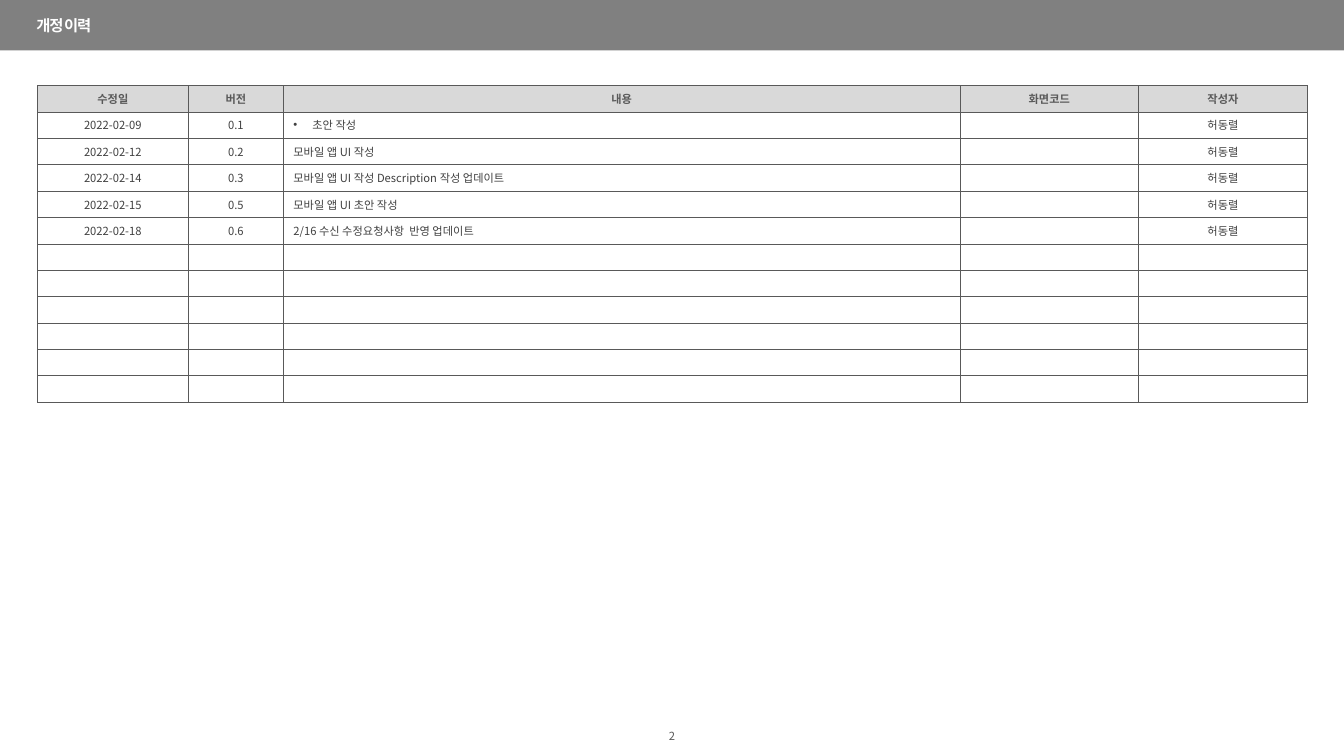
from lxml import etree
from pptx import Presentation
from pptx.dml.color import RGBColor
from pptx.enum.shapes import MSO_SHAPE
from pptx.enum.text import MSO_ANCHOR, PP_ALIGN
from pptx.oxml.ns import qn
from pptx.util import Cm, Pt

FONT = "Noto Sans CJK KR"
WHITE = RGBColor(0xFF, 0xFF, 0xFF)
BAR_GRAY = RGBColor(0x80, 0x80, 0x80)
HEADER_GRAY = RGBColor(0xD9, 0xD9, 0xD9)
LINE_GRAY = RGBColor(0x59, 0x59, 0x59)
BODY_GRAY = RGBColor(0x40, 0x40, 0x40)

SLIDE_WIDTH, SLIDE_HEIGHT = Cm(33.87), Cm(19.05)
COLUMN_WIDTHS = [Cm(3.81), Cm(2.39), Cm(17.06), Cm(4.49), Cm(4.26)]
CONTENT_COLUMN = 2
ROW_COUNT = 12
HEADERS = ["수정일", "버전", "내용", "화면코드", "작성자"]
AUTHOR = "허동렬"
REVISIONS = [
    ("2022-02-09", "0.1", "초안 작성", "", AUTHOR),
    ("2022-02-12", "0.2", "모바일 앱 UI 작성", "", AUTHOR),
    ("2022-02-14", "0.3", "모바일 앱 UI 작성 Description 작성 업데이트", "", AUTHOR),
    ("2022-02-15", "0.5", "모바일 앱 UI 초안 작성", "", AUTHOR),
    ("2022-02-18", "0.6", "2/16 수신 수정요청사항  반영 업데이트", "", AUTHOR),
]


def write_text(text_frame, text, size, color, bold=False, alignment=PP_ALIGN.LEFT):
    text_frame.text = text
    paragraph = text_frame.paragraphs[0]
    paragraph.alignment = alignment
    for run in paragraph.runs:
        run.font.size = size
        run.font.bold = bold
        run.font.name = FONT
        run.font.color.rgb = color
        east_asian = etree.SubElement(run.font._element, qn("a:ea"))
        east_asian.set("typeface", FONT)
    if not text:
        end_properties = etree.SubElement(paragraph._p, qn("a:endParaRPr"))
        end_properties.set("sz", str(size.centipoints))
    return paragraph


def add_label(slide, left, top, width, height):
    text_frame = slide.shapes.add_textbox(left, top, width, height).text_frame
    text_frame.word_wrap = True
    text_frame.vertical_anchor = MSO_ANCHOR.MIDDLE
    return text_frame


def add_title_bar(slide, left, top, width, height):
    bar = slide.shapes.add_shape(MSO_SHAPE.RECTANGLE, left, top, width, height)
    bar.shadow.inherit = False
    bar.fill.solid()
    bar.fill.fore_color.rgb = BAR_GRAY
    bar.line.fill.background()
    text_frame = add_label(slide, left + Cm(0.56), top + Cm(0.2), Cm(25.4), height - Cm(0.4))
    text_frame.margin_left, text_frame.margin_right = Cm(0.36), Cm(0.2)
    text_frame.margin_top = text_frame.margin_bottom = Cm(0.1)
    paragraph = write_text(text_frame, "개정 이력", Pt(11), WHITE, bold=True)
    paragraph.runs[0].font._element.set("spc", "-100")


def add_page_number(slide, left, top, width, height):
    text_frame = add_label(slide, left, top, width, height)
    write_text(text_frame, "2", Pt(8), LINE_GRAY, alignment=PP_ALIGN.CENTER)


def add_bullet(paragraph):
    properties = paragraph._p.get_or_add_pPr()
    properties.set("marL", str(Cm(0.48)))
    properties.set("indent", str(-Cm(0.48)))
    etree.SubElement(properties, qn("a:buFont")).set("typeface", "Arial")
    etree.SubElement(properties, qn("a:buChar")).set("char", "•")


def add_borders(cell):
    properties = cell._tc.get_or_add_tcPr()
    for index, side in enumerate(("lnL", "lnR", "lnT", "lnB")):
        line = etree.Element(qn(f"a:{side}"), w=str(Pt(0.25)))
        fill = etree.SubElement(line, qn("a:solidFill"))
        etree.SubElement(fill, qn("a:srgbClr")).set("val", str(LINE_GRAY))
        properties.insert(index, line)


def add_revision_table(slide, left, top, width, height):
    frame = slide.shapes.add_table(ROW_COUNT, len(HEADERS), left, top, width, height)
    table = frame.table
    for column, column_width in zip(table.columns, COLUMN_WIDTHS):
        column.width = column_width
    blank_rows = [[""] * len(HEADERS)] * (ROW_COUNT - 1 - len(REVISIONS))
    for row_index, values in enumerate([HEADERS, *REVISIONS, *blank_rows]):
        is_header = row_index == 0
        for column_index, value in enumerate(values):
            cell = table.cell(row_index, column_index)
            cell.fill.solid()
            cell.fill.fore_color.rgb = HEADER_GRAY if is_header else WHITE
            cell.vertical_anchor = MSO_ANCHOR.MIDDLE
            cell.margin_top = cell.margin_bottom = Cm(0.1)
            add_borders(cell)
            centered = is_header or column_index != CONTENT_COLUMN
            write_text(
                cell.text_frame, value, Pt(8),
                LINE_GRAY if is_header else BODY_GRAY, is_header,
                PP_ALIGN.CENTER if centered else PP_ALIGN.LEFT,
            )
    add_bullet(table.cell(1, CONTENT_COLUMN).text_frame.paragraphs[0])


def main():
    presentation = Presentation()
    presentation.slide_width = SLIDE_WIDTH
    presentation.slide_height = SLIDE_HEIGHT
    slide = presentation.slides.add_slide(presentation.slide_layouts[6])
    add_title_bar(slide, 0, 0, SLIDE_WIDTH, Cm(1.27))
    add_page_number(slide, 0, Cm(18.06), SLIDE_WIDTH, Cm(0.99))
    add_revision_table(slide, Cm(0.94), Cm(2.15), sum(COLUMN_WIDTHS), Cm(7.99))
    presentation.save("out.pptx")


if __name__ == "__main__":
    main()
